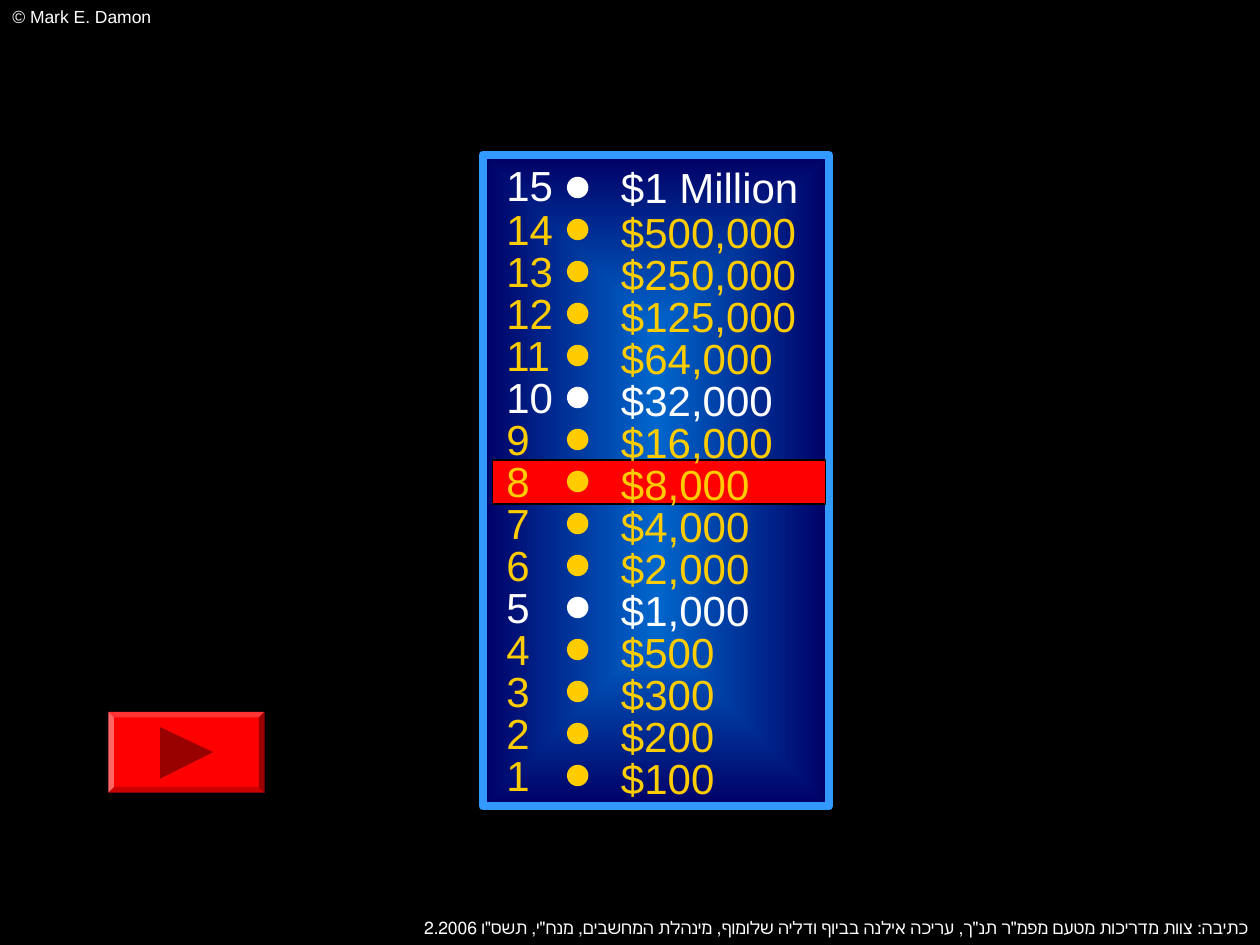
from typing import NamedTuple, Optional

from pptx import Presentation
from pptx.dml.color import RGBColor
from pptx.enum.shapes import MSO_SHAPE as SHAPE
from pptx.enum.text import MSO_AUTO_SIZE as AUTO, PP_ALIGN as ALIGN
from pptx.oxml.ns import qn
from pptx.util import Inches, Pt
from lxml.etree import SubElement

GOLD, WHITE, RED, BLACK = "FFCC00", "FFFFFF", "FF0000", "000000"
STEP = 1 / 3
DOT = 0.17


class Box(NamedTuple):
    x: float
    y: float
    w: float
    h: float

    def lengths(self) -> list:
        return [Inches(v) for v in self]


class Prize(NamedTuple):
    level: int
    amount: str
    width: float = 1.75

    @property
    def color(self) -> str:
        return WHITE if self.level % 5 == 0 else GOLD


PRIZES = [
    Prize(15, "$1 Million"), Prize(14, "$500,000"), Prize(13, "$250,000"),
    Prize(12, "$125,000"), Prize(11, "$64,000"), Prize(10, "$32,000"),
    Prize(9, "$16,000"), Prize(8, "$8,000"), Prize(7, "$4,000"),
    Prize(6, "$2,000"), Prize(5, "$1,000"), Prize(4, "$500", 1.09),
    Prize(3, "$300"), Prize(2, "$200", 1.46), Prize(1, "$100"),
]


def rgb(color: str) -> RGBColor:
    return RGBColor.from_string(color)


def add_shape(s, kind, box: Box, fill: Optional[str] = None,
              line: Optional[str] = None, width: float = 0.75):
    sp = s.shapes.add_shape(kind, *box.lengths())
    style(sp, fill, line, width)
    return sp


def style(sp, fill: Optional[str], line: Optional[str] = None,
          width: float = 0.75) -> None:
    sp.shadow.inherit = False
    if fill:
        sp.fill.solid()
        sp.fill.fore_color.rgb = rgb(fill)
    if line:
        sp.line.color.rgb = rgb(line)
        sp.line.width = Pt(width)
    else:
        sp.line.fill.background()


def add_text(s, text: str, box: Box, color: str, size: float = 24,
             font: str = "Arial"):
    tf = s.shapes.add_textbox(*box.lengths()).text_frame
    for name, value in {"word_wrap": True,
                        "auto_size": AUTO.SHAPE_TO_FIT_TEXT}.items():
        setattr(tf, name, value)
    p = tf.paragraphs[0]
    r = p.add_run()
    r.text = text
    for name, value in {"size": Pt(size), "name": font}.items():
        setattr(r.font, name, value)
    r.font.color.rgb = rgb(color)
    return p


def fill_from_center(sp, inner: str, outer: str) -> None:
    sp.fill.gradient()
    for stop, color in zip(sp.fill.gradient_stops, (inner, outer)):
        stop.color.rgb = rgb(color)
    grad = sp.element.spPr.find(qn("a:gradFill"))
    grad.remove(grad.find(qn("a:lin")))
    path = SubElement(grad, qn("a:path"), {"path": "rect"})
    SubElement(path, qn("a:fillToRect"), {side: "50000" for side in "ltrb"})


def add_prize(s, prize: Prize) -> None:
    y = 5.9 - (prize.level - 1) * STEP
    # The top prize sits slightly higher than the even spacing
    text_y = y - 0.02 if prize.level == 15 else y
    add_text(s, str(prize.level), Box(3.92, text_y, 0.75, 0.5), prize.color)
    add_text(s, prize.amount, Box(4.83, text_y + 0.02, prize.width, 0.5),
             prize.color)
    add_shape(s, SHAPE.OVAL, Box(4.5, y + DOT, DOT, DOT), prize.color)


def add_next_button(s, box: Box) -> None:
    bevel = add_shape(s, SHAPE.BEVEL, box, RED)
    bevel.adjustments[0] = 0.07
    fb = s.shapes.build_freeform(Inches(1.27), Inches(5.77), scale=1.0)
    fb.add_line_segments([(Inches(1.69), Inches(5.97)),
                          (Inches(1.27), Inches(6.18))], close=True)
    style(fb.convert_to_shape(), "990000")


def main() -> None:
    prs = Presentation()
    prs.slide_width, prs.slide_height = Inches(10), Inches(7.5)
    s = prs.slides.add_slide(prs.slide_layouts[6])

    # Backdrop and credits
    add_shape(s, SHAPE.RECTANGLE, Box(0, 0, 10, 7.5), BLACK, BLACK)
    add_text(s, "© Mark E. Damon", Box(0, 0, 5.13, 0.27), WHITE, 10)
    p = add_text(s, 'כתיבה: צוות מדריכות מטעם מפמ"ר תנ"ך, עריכה אילנה בביוף '
                    'ודליה שלומוף, מינהלת המחשבים, מנח"י, תשס"ו 2.2006',
                 Box(1.47, 7.23, 8.53, 0.27), WHITE, 10, "Times New Roman")
    p.alignment = ALIGN.RIGHT
    p._p.get_or_add_pPr().set("rtl", "1")

    # Prize panel with the current level highlighted
    panel = add_shape(s, SHAPE.RECTANGLE, Box(3.83, 1.23, 2.75, 5.17),
                      line="3399FF", width=4.5)
    fill_from_center(panel, "0066CC", "000066")
    add_shape(s, SHAPE.RECTANGLE, Box(3.91, 3.65, 2.64, 0.35), RED, BLACK)

    # Prize ladder
    for prize in PRIZES:
        add_prize(s, prize)

    add_next_button(s, Box(0.86, 5.65, 1.24, 0.64))
    prs.save("out.pptx")


if __name__ == "__main__":
    main()
